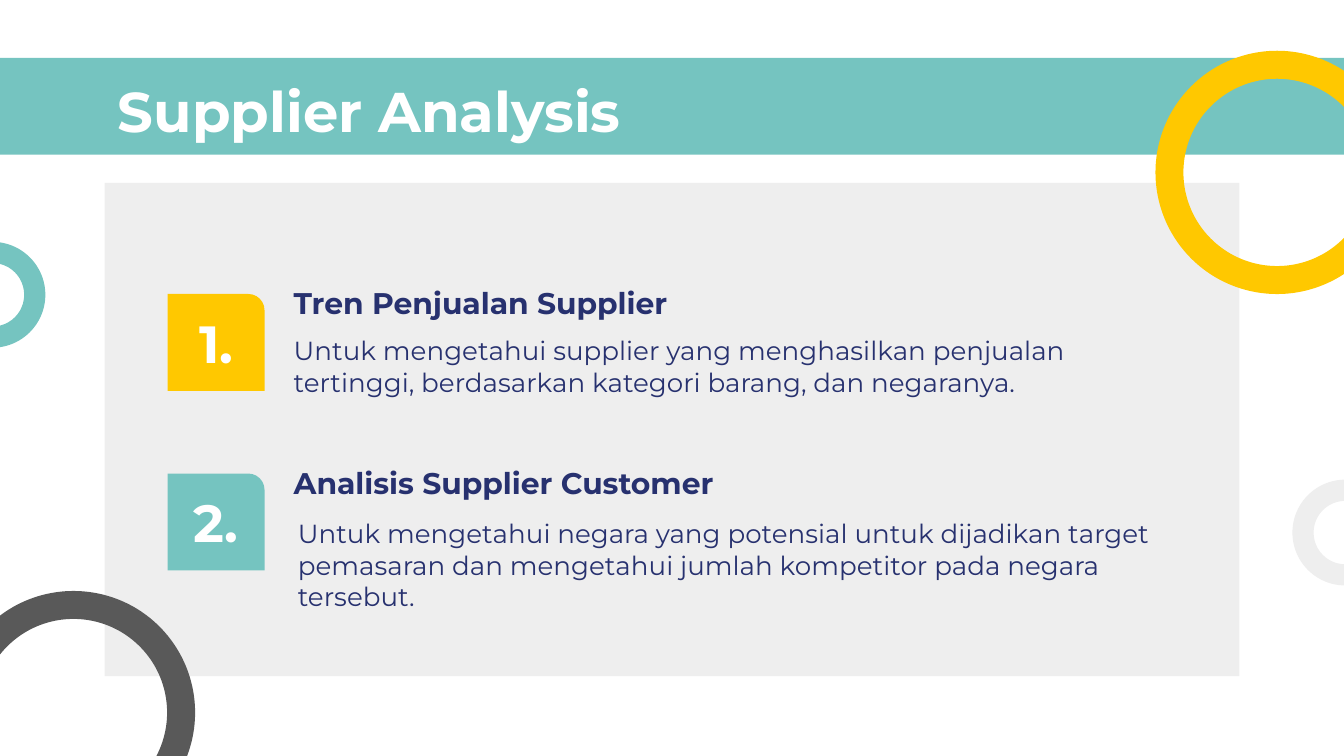
from pptx import Presentation
from pptx.dml.color import RGBColor
from pptx.enum import shapes, text
from pptx.util import Pt

HUES = {"teal": "75C4C0", "gold": "FFC800", "pale": "EEEEEE",
        "gray": "595959", "navy": "27316F", "white": "FFFFFF"}
FONT = "Montserrat"
KIND = shapes.MSO_SHAPE
ALIGN = text.PP_ALIGN
ANCHOR = text.MSO_ANCHOR


def color(name):
    return RGBColor.from_string(HUES[name])


def draw(slide, kind, box, hue, adj=None):
    """Add a flat preset shape without outline."""
    shape = slide.shapes.add_shape(kind, *map(Pt, box))
    shape.shadow.inherit = False
    shape.fill.solid()
    shape.fill.fore_color.rgb = color(hue)
    shape.line.fill.background()
    if adj is not None:
        shape.adjustments[0] = adj


def write(shape, words, size, hue, bold=False, align=ALIGN.LEFT, anchor=ANCHOR.TOP):
    """Set the only paragraph of a text box or placeholder."""
    frame = shape.text_frame
    frame.word_wrap = True
    frame.auto_size = text.MSO_AUTO_SIZE.NONE
    frame.vertical_anchor = anchor
    frame.margin_left = frame.margin_right = Pt(7.2)
    frame.margin_top = frame.margin_bottom = Pt(7.2)
    frame.text = words
    para = frame.paragraphs[0]
    para.alignment = align
    para.font.name = FONT
    para.font.size = Pt(size)
    para.font.bold = bold
    para.font.color.rgb = color(hue)


def label(slide, box, *args, **style):
    write(slide.shapes.add_textbox(*map(Pt, box)), *args, **style)


def ring(slide, left, top, size, hue, adj):
    draw(slide, KIND.DONUT, (left, top, size, size), hue, adj)


def backdrop(slide, wide, high):
    draw(slide, KIND.RECTANGLE, (-12.2, 31, wide + 24.4, 51.8), "teal")
    draw(slide, KIND.RECTANGLE, (56, 98, wide - 112, high - 140.7), "pale")
    ring(slide, wide - 101, 27.2, 130.3, "gold", 0.115)
    ring(slide, -32.4, 129.6, 56.7, "teal", 0.2)
    ring(slide, wide - 27.6, 257, 56.7, "pale", 0.2)


def heading(slide, box, words):
    title = slide.shapes.title
    title.left, title.top, title.width, title.height = map(Pt, box)
    write(title, words, 30, "white", bold=True)
    slide.shapes.element.append(title.element)  # in front of the band


def item(slide, box, mark, hue, head, body, shift):
    """Numbered tile with a heading and a body, which is moved by shift."""
    left, top, wide, high = box
    side = 51.9
    draw(slide, KIND.ROUND_1_RECTANGLE, (left, top, side, side), hue, 0.167)
    label(slide, (left, top + 8, side, 36), mark, 28, "white", bold=True,
          align=ALIGN.CENTER, anchor=ANCHOR.MIDDLE)
    label(slide, (left + 60.5, top - 12, wide - 60.5, 28), head, 16, "navy", bold=True)
    dx, dy = shift
    label(slide, (left + 60.5 + dx, top + 14.5 + dy, wide - 60.5 - dx, high - 14.5 - dy),
          body, 14, "navy")


def main():
    deck = Presentation()
    wide, high = 720, 405
    deck.slide_width, deck.slide_height = Pt(wide), Pt(high)
    slide = deck.slides.add_slide(deck.slide_layouts[5])
    backdrop(slide, wide, high)
    heading(slide, (56, 34, 608, 45), "Supplier Analysis")
    items = [
        ("1.", "gold", "Tren Penjualan Supplier",
         "Untuk mengetahui supplier yang menghasilkan penjualan tertinggi, "
         "berdasarkan kategori barang, dan negaranya.", (0, 0)),
        ("2.", "teal", "Analisis Supplier Customer",
         "Untuk mengetahui negara yang potensial untuk dijadikan target pemasaran "
         "dan mengetahui jumlah kompetitor pada negara tersebut.", (2.2, 2)),
    ]
    for row, parts in enumerate(items):
        item(slide, (89.8, 157.5 + row * 96.2, 537, 85), *parts)
    ring(slide, -25.8, 316.6, 130.3, "gray", 0.115)
    deck.save("out.pptx")


if __name__ == "__main__":
    main()
